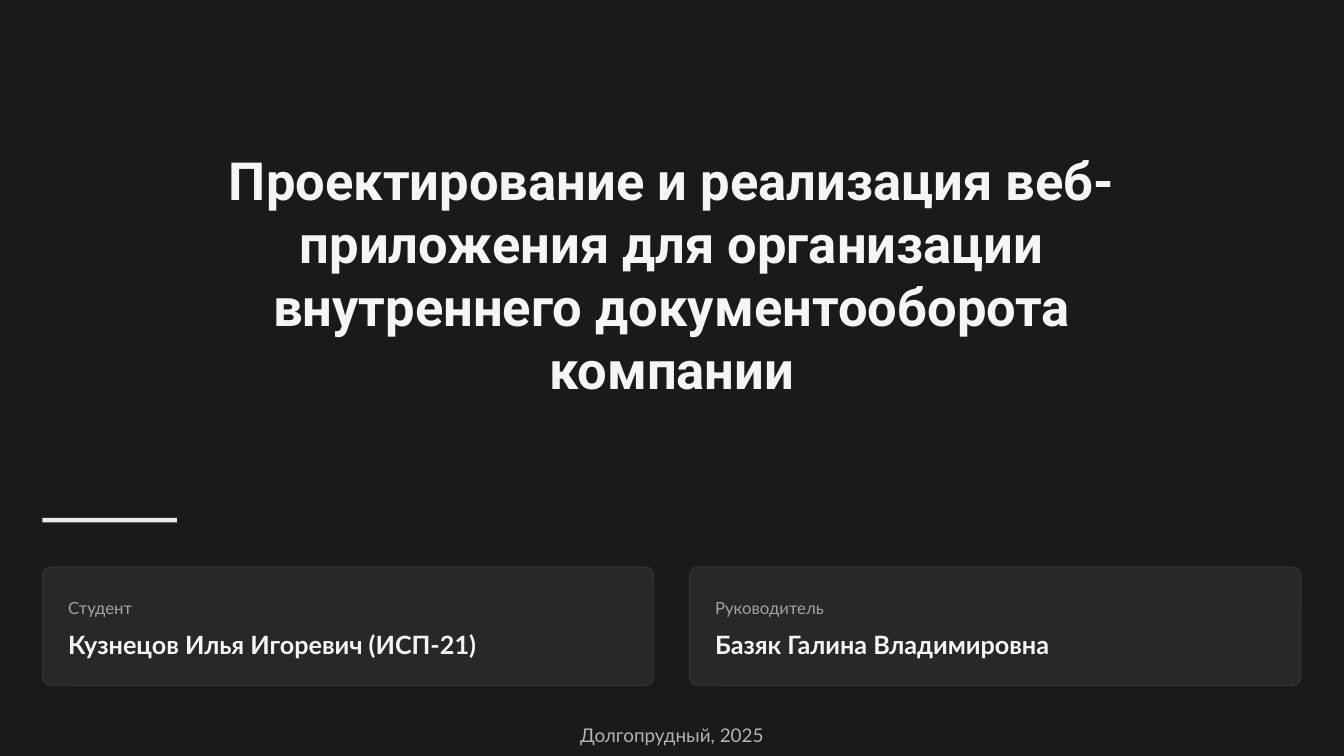
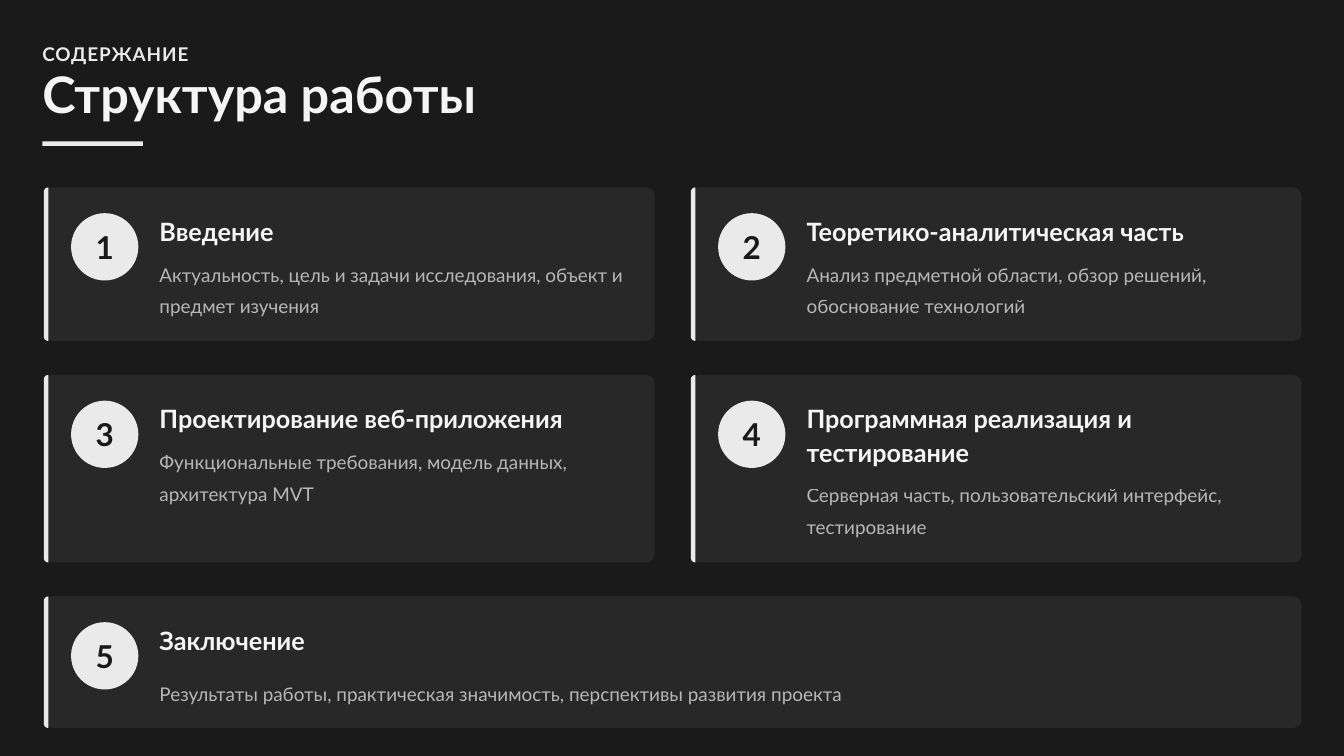
import math
from dataclasses import dataclass

from lxml import etree
from pptx import Presentation
from pptx.dml.color import RGBColor
from pptx.enum.shapes import MSO_SHAPE
from pptx.enum.text import MSO_ANCHOR, MSO_AUTO_SIZE, PP_ALIGN
from pptx.oxml.ns import qn
from pptx.util import Inches, Pt

LEFT, CENTER = PP_ALIGN.LEFT, PP_ALIGN.CENTER
MIDDLE = MSO_ANCHOR.MIDDLE
NO_AUTOFIT = MSO_AUTO_SIZE.NONE
RECTANGLE = MSO_SHAPE.RECTANGLE
ROUNDED = MSO_SHAPE.ROUNDED_RECTANGLE
OVAL = MSO_SHAPE.OVAL
TITLE_ONLY = 5


@dataclass(frozen=True)
class Theme:
    background: str = "1A1A1A"
    text: str = "F5F5F5"
    accent: str = "EAEAEA"
    card: str = "4A4A4A"
    card_opacity: int = 30
    body_font: str = "Lato"
    cover_font: str = "Roboto"
    cover_size: int = 50
    title_size: int = 48
    number_size: int = 30
    heading_size: int = 24
    body_size: int = 18
    label_size: int = 16


THEME = Theme()
MARGIN = 0.56
COLUMN_STEP = 8.56
CARD_RADIUS = 0.11
STRIP_WIDTH = 0.06
CARD_PADDING = 0.34
HEADING_LINE = 0.44

PEOPLE = [
    ("Студент", "Кузнецов Илья Игоревич (ИСП-21)"),
    ("Руководитель", "Базяк Галина Владимировна"),
]

# Each row: card height, card width, text width, gap and height of the
# description, then (heading, heading lines, description) for each card.
SECTION_ROWS = [
    (2.03, 8.08, 6.39, 0.11, 0.82, [
        ("Введение", 1,
         "Актуальность, цель и задачи исследования, объект и предмет изучения"),
        ("Теоретико-аналитическая часть", 1,
         "Анализ предметной области, обзор решений, обоснование технологий"),
    ]),
    (2.48, 8.08, 6.39, 0.11, 0.82, [
        ("Проектирование веб-приложения", 1,
         "Функциональные требования, модель данных, архитектура MVT"),
        ("Программная реализация и тестирование", 2,
         "Серверная часть, пользовательский интерфейс, тестирование"),
    ]),
    (1.74, 16.64, 9.24, 0.25, 0.4, [
        ("Заключение", 1,
         "Результаты работы, практическая значимость, перспективы развития проекта"),
    ]),
]


def set_opacity(fill_parent, percent):
    """Make the solid fill directly inside an XML element translucent."""
    color = fill_parent.find(qn("a:solidFill")).find(qn("a:srgbClr"))
    etree.SubElement(color, qn("a:alpha")).set("val", str(percent * 1000))


def write(shape, text, *, size, font=THEME.body_font, color=THEME.text, bold=False,
          align=LEFT, line_spacing=None, opacity=100, tracking=0):
    frame = shape.text_frame
    frame.word_wrap = True
    frame.auto_size = NO_AUTOFIT
    frame.vertical_anchor = MIDDLE
    frame.margin_left = frame.margin_right = frame.margin_top = frame.margin_bottom = 0
    para = frame.paragraphs[0]
    para.alignment = align
    if line_spacing:
        para.line_spacing = line_spacing
    span = para.add_run()
    span.text = text
    span.font.name = font
    span.font.size = Pt(size)
    span.font.bold = bold
    span.font.color.rgb = RGBColor.from_string(color)
    properties = span.font._element
    if opacity < 100:
        set_opacity(properties, opacity)
    if tracking:
        properties.set("spc", str(round(tracking * 100)))


def add_text(page, text, left, top, width, height, **style):
    box = page.shapes.add_textbox(Inches(left), Inches(top), Inches(width), Inches(height))
    write(box, text, **style)


def set_title(page, text, left, top, width, height, **style):
    title = page.shapes.title
    title.left, title.top = Inches(left), Inches(top)
    title.width, title.height = Inches(width), Inches(height)
    write(title, text, bold=True, **style)


def paint(shape, color):
    shape.shadow.inherit = False
    shape.fill.solid()
    shape.fill.fore_color.rgb = RGBColor.from_string(color)
    shape.line.fill.background()


def add_block(page, kind, left, top, width, height, color=THEME.accent):
    shape = page.shapes.add_shape(
        kind, Inches(left), Inches(top), Inches(width), Inches(height))
    paint(shape, color)
    return shape


def add_card(page, left, top, width, height, outlined=False):
    card = add_block(page, ROUNDED, left, top, width, height, THEME.card)
    card.adjustments[0] = CARD_RADIUS / min(width, height)
    properties = card._element.spPr
    set_opacity(properties, THEME.card_opacity)
    if outlined:
        card.line.color.rgb = RGBColor.from_string(THEME.accent)
        card.line.width = Pt(0.8)
        set_opacity(properties.find(qn("a:ln")), 10)


def add_strip(page, left, top, height):
    """Draw the card's accent edge, rounded on its left side only."""
    radius, steps = STRIP_WIDTH, 8
    right, bottom = left + radius, top + height
    angles = [math.pi / 2 * step / steps for step in range(steps + 1)]
    upper = [(right - radius * math.sin(angle), top + radius - radius * math.cos(angle))
             for angle in angles]
    lower = [(x, top + bottom - y) for x, y in reversed(upper)]
    points = [(Inches(x), Inches(y)) for x, y in upper + lower]
    builder = page.shapes.build_freeform(*points[0])
    builder.add_line_segments(points[1:], close=True)
    paint(builder.convert_to_shape(), THEME.accent)


def add_person(page, left, label, name):
    add_card(page, left, 7.5, 8.09, 1.57, outlined=True)
    text_left = left + CARD_PADDING
    add_text(page, label, text_left, 7.84, 7.53, 0.33,
             size=THEME.label_size, line_spacing=1.3, opacity=60)
    add_text(page, name, text_left, 8.29, 7.58, HEADING_LINE,
             size=THEME.heading_size, bold=True, line_spacing=1.1)


def add_section(page, number, left, top, width, height, text_width,
                gap, description_height, heading, lines, description):
    add_card(page, left, top, width, height)
    add_strip(page, left, top, height)
    content_top = top + CARD_PADDING
    badge = add_block(page, OVAL, left + 0.36, content_top, 0.89, 0.89)
    write(badge, str(number), size=THEME.number_size, color=THEME.background,
          bold=True, align=CENTER)
    text_left = left + 1.53
    heading_height = HEADING_LINE * lines
    add_text(page, heading, text_left, content_top, text_width, heading_height,
             size=THEME.heading_size, bold=True, line_spacing=1.1)
    add_text(page, description, text_left, content_top + heading_height + gap,
             text_width, description_height,
             size=THEME.body_size, line_spacing=1.4, opacity=70)


def build_cover(page):
    set_title(page, "Проектирование и реализация веб-приложения для организации "
              "внутреннего документооборота компании", 2.09, 1.27, 13.6, 4.7,
              size=THEME.cover_size, font=THEME.cover_font, align=CENTER)
    add_block(page, RECTANGLE, MARGIN, 6.85, 1.78, 0.06)
    for column, (label, name) in enumerate(PEOPLE):
        add_person(page, MARGIN + column * COLUMN_STEP, label, name)
    add_text(page, "Долгопрудный, 2025", 7.61, 9.48, 2.56, 0.39,
             size=THEME.body_size, align=CENTER, line_spacing=1.3, opacity=70)


def build_contents(page):
    add_text(page, "СОДЕРЖАНИЕ", MARGIN, 0.48, 16.79, 0.39, size=THEME.body_size,
             color=THEME.accent, bold=True, line_spacing=1.3, tracking=0.9)
    set_title(page, "Структура работы", MARGIN, 0.98, 17, 0.67,
              size=THEME.title_size, line_spacing=0.8)
    add_block(page, RECTANGLE, MARGIN, 1.87, 1.33, 0.06)
    top, number = 2.48, 1
    for height, width, text_width, gap, description_height, sections in SECTION_ROWS:
        for column, section in enumerate(sections):
            add_section(page, number, 0.58 + column * COLUMN_STEP, top, width, height,
                        text_width, gap, description_height, *section)
            number += 1
        top += height + 0.45


def main():
    deck = Presentation()
    deck.slide_width, deck.slide_height = Inches(17.78), Inches(10)
    background = deck.slide_master.background.fill
    background.solid()
    background.fore_color.rgb = RGBColor.from_string(THEME.background)
    for build in (build_cover, build_contents):
        build(deck.slides.add_slide(deck.slide_layouts[TITLE_ONLY]))
    deck.save("out.pptx")


if __name__ == "__main__":
    main()
